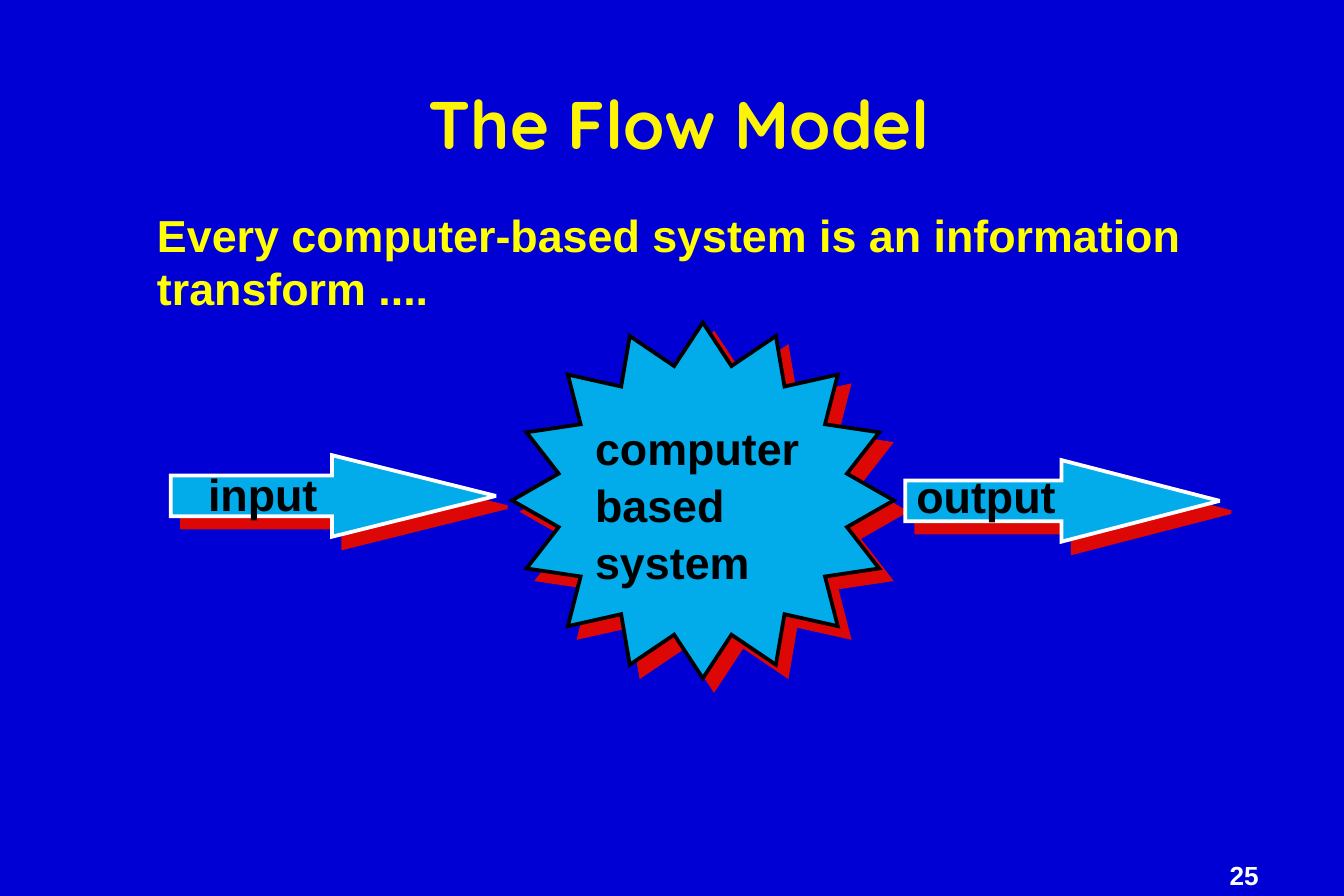
import math
from dataclasses import dataclass

from lxml import etree
from pptx import Presentation
from pptx import util as u
from pptx.dml.color import RGBColor
from pptx.enum import shapes, text
from pptx.oxml import ns


@dataclass(frozen=True)
class Theme:
    back: str = "0000D4"
    fill: str = "02ABEA"
    shade: str = "DD0806"
    title: str = "FCF305"
    lead: str = "FFFF00"
    dark: str = "000000"
    light: str = "FFFFFF"
    head: str = "Quicksand"
    body: str = "Arial"
    big: int = 36
    mid: int = 24
    small: int = 14


T = Theme()
WIDE, HIGH = u.Inches(10), u.Emu(6094413)


def rgb(code):
    return RGBColor.from_string(code)


def area(x, y, w, h):
    """Turn percentages of the slide's size into lengths."""
    return [round(part * full / 100)
            for part, full in zip((x, y, w, h), (WIDE, HIGH) * 2)]


def write(slide, words, box, size=T.mid, color=T.dark, font=T.body,
          align=text.PP_ALIGN.LEFT, anchor=text.MSO_ANCHOR.TOP,
          lines=1.0, gap=0, inset=(0.1, 0.05)):
    frame = slide.shapes.add_textbox(*area(*box)).text_frame
    frame.word_wrap = True
    frame.vertical_anchor = anchor
    frame.margin_left = frame.margin_right = u.Inches(inset[0])
    frame.margin_top = frame.margin_bottom = u.Inches(inset[1])
    frame.text = words
    for i, para in enumerate(frame.paragraphs):
        para.alignment = align
        para.line_spacing = lines
        para.space_before = u.Pt(gap if i else 0)
        para.font.name, para.font.size = font, u.Pt(size)
        para.font.bold = True
        para.font.color.rgb = rgb(color)


def paint(shape, edge):
    """Fill and outline a shape, with a hard shadow to the lower right."""
    shape.fill.solid()
    shape.fill.fore_color.rgb = rgb(T.fill)
    shape.line.color.rgb = rgb(edge)
    shape.line.width = u.Pt(2)
    props = shape.element.spPr
    etree.SubElement(props.find(ns.qn("a:ln")), ns.qn("a:miter"),
                     lim="800000")
    shape.shadow.inherit = False
    shadow = etree.SubElement(
        props.find(ns.qn("a:effectLst")), ns.qn("a:outerShdw"),
        dist=str(u.Pt(8.5)), dir=str(45 * 60000), algn="ctr",
        rotWithShape="0")
    etree.SubElement(shadow, ns.qn("a:srgbClr"), val=T.shade)


def burst(slide, box, tips=16, inner=0.77):
    """Draw a star whose tips and notches lie on two ellipses."""
    left, top, width, height = area(*box)
    dots = []
    for i in range(2 * tips):
        angle = math.pi * (1 + i / tips)
        reach = inner if i % 2 else 1
        dots.append((left + width / 2 * (1 + reach * math.cos(angle)),
                     top + height / 2 * (1 + reach * math.sin(angle))))
    pen = slide.shapes.build_freeform(*dots[0])
    pen.add_line_segments(dots[1:], close=True)
    paint(pen.convert_to_shape(), T.dark)


def arrow(slide, box, tip):
    shape = slide.shapes.add_shape(
        shapes.MSO_SHAPE.RIGHT_ARROW, *area(*box))
    shape.adjustments[0], shape.adjustments[1] = 0.5, tip
    paint(shape, T.light)


def main():
    deck = Presentation()
    deck.slide_width, deck.slide_height = WIDE, HIGH
    slide = deck.slides.add_slide(deck.slide_layouts[6])
    slide.background.fill.solid()
    slide.background.fill.fore_color.rgb = rgb(T.back)

    write(slide, "25", (90.8, 95.9, 9, 4.05), size=T.small,
          color=T.light, lines=0.9, inset=(0.07, 0.03))
    write(slide, "The Flow Model", (11.4, 4.9, 78.3, 18.8), size=T.big,
          color=T.title, font=T.head, align=text.PP_ALIGN.CENTER,
          anchor=text.MSO_ANCHOR.MIDDLE, lines=0.88)
    write(slide, "Every computer-based system is an information transform ....",
          (10.7, 22.4, 78.6, 13.5), color=T.lead)

    burst(slide, (38.1, 36, 28.4, 39.7))
    arrow(slide, (12.7, 50.8, 24.2, 9.1), 2.01)
    arrow(slide, (67.35, 51.35, 23.4, 9.1), 1.94)

    write(slide, "computer\nbased\nsystem", (43.3, 47.6, 18, 18.8),
          lines=0.75, gap=9)
    write(slide, "input", (14.5, 51.3, 11, 7.5))
    write(slide, "output", (67.2, 51.6, 13, 7.5))
    deck.save("out.pptx")


if __name__ == "__main__":
    main()
